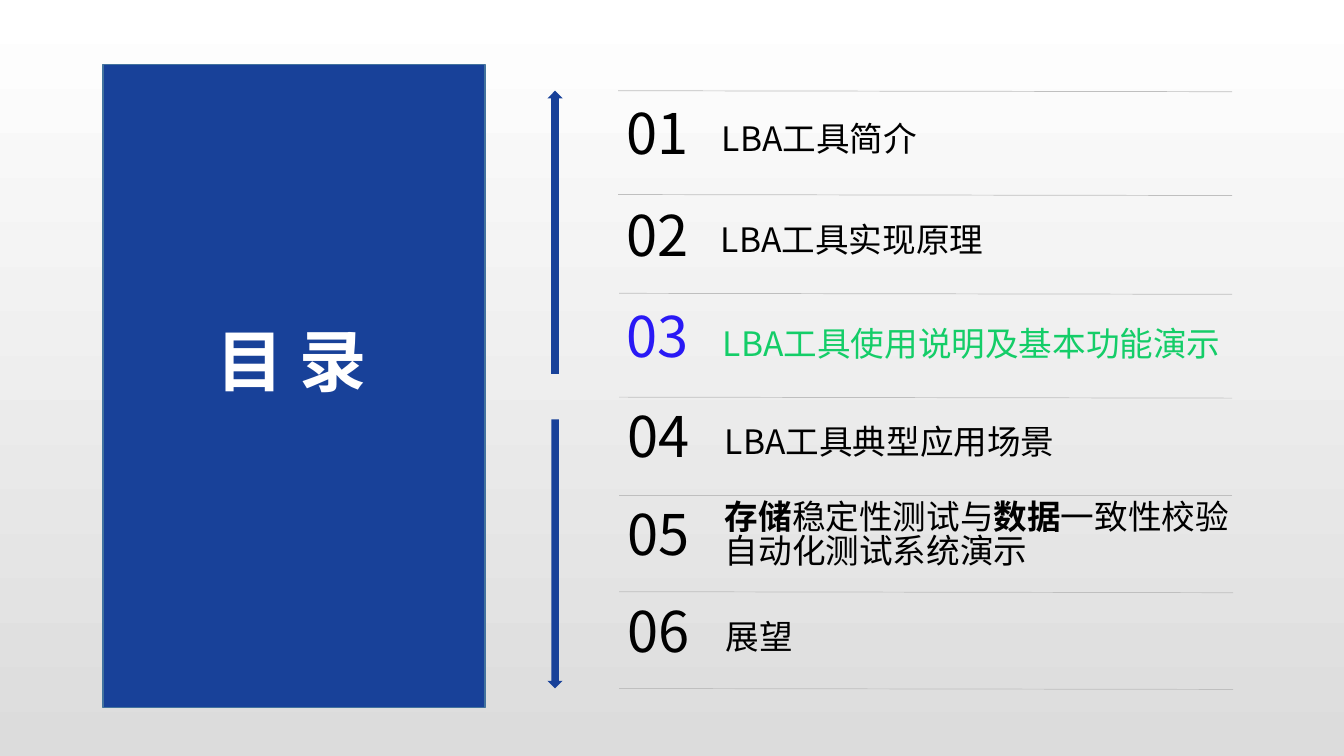
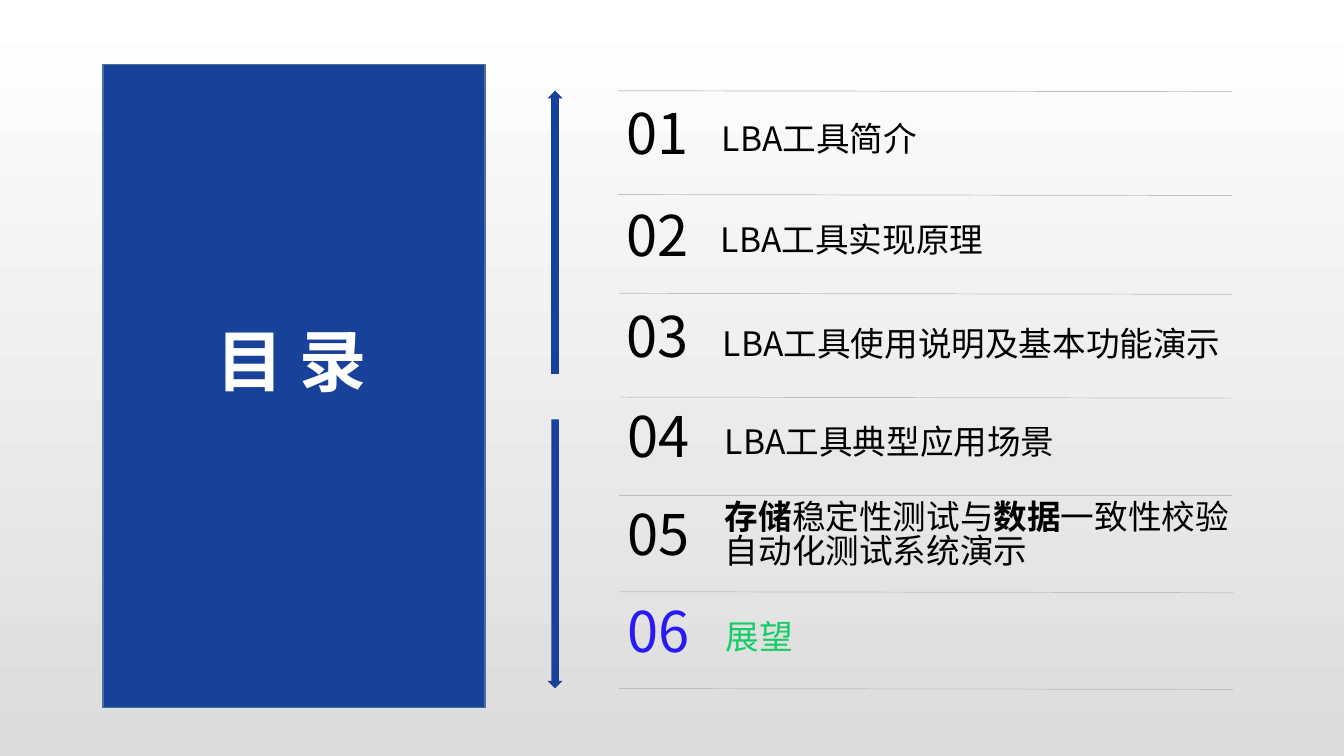
from dataclasses import dataclass

from lxml.etree import SubElement
from pptx import Presentation
from pptx.dml.color import RGBColor
from pptx.enum.shapes import MSO_CONNECTOR, MSO_SHAPE
from pptx.enum.text import MSO_ANCHOR, MSO_AUTO_SIZE, PP_ALIGN
from pptx.oxml.ns import qn
from pptx.util import Inches, Pt

FONT = "Noto Sans CJK SC"
LINE_SPACING = 0.83
BLUE, PANEL_EDGE, RULE = "184199", "43739E", "BFBFBF"
BLACK, WHITE, PAPER_END = "000000", "FFFFFF", "DCDCDC"
ACTIVE_NUMBER = "2919F5"
ACTIVE_TEXT = ("14CD68", "0B6E38")


@dataclass(frozen=True)
class Run:
    text: str
    bold: bool = False


@dataclass(frozen=True)
class Item:
    """One agenda entry: number position, text box and text runs."""
    num_left: float
    num_top: float
    left: float
    top: float
    width: float
    height: float
    runs: tuple[Run, ...]


@dataclass(frozen=True)
class Arrow:
    left: float
    top: float
    length: float
    rotation: int


@dataclass(frozen=True)
class Rule:
    left: float
    right: float
    top: float
    drop: float = 0.01


ITEMS = (
    Item(6.14, 1.05, 7.09, 1.2, 3.81, 0.48, (Run("LBA工具简介"),)),
    Item(6.14, 2.06, 7.08, 2.2, 4.2, 0.48, (Run("LBA工具实现原理"),)),
    Item(6.14, 3.06, 7.1, 3.23, 5.17, 0.48, (Run("LBA工具使用说明及基本功能演示"),)),
    Item(6.15, 4.06, 7.12, 4.2, 4.2, 0.48, (Run("LBA工具典型应用场景"),)),
    Item(6.15, 5.03, 7.12, 4.95, 5.16, 0.88, (
        Run("存储", True), Run("稳定性测试与"), Run("数据", True),
        Run("一致性校验自动化测试系统演示"))),
    Item(6.15, 5.99, 7.13, 6.14, 1.01, 0.48, (Run("展望"),)),
)
ARROWS = (Arrow(4.1, 2.23, 2.81, 270), Arrow(4.17, 5.42, 2.67, 90))
RULES = (
    Rule(6.13, 12.22, 0.9), Rule(6.13, 12.22, 1.93), Rule(6.14, 12.22, 2.91),
    Rule(6.14, 12.22, 3.94), Rule(6.14, 12.22, 4.91, 0),
    Rule(6.14, 12.23, 5.87), Rule(6.14, 12.23, 6.83),
)


def rgb(value: str) -> RGBColor:
    return RGBColor.from_string(value)


def set_gradient(fill, colors: tuple[str, str], angle: int) -> None:
    fill.gradient()
    fill.gradient_angle = angle
    for stop, color in zip(fill.gradient_stops, colors):
        stop.color.rgb = rgb(color)


def style_run(r, size: int, color: str | tuple[str, str], bold: bool = False) -> None:
    r.font.size, r.font.bold, r.font.name = Pt(size), bold, FONT
    if isinstance(color, tuple):
        set_gradient(r.font.fill, color, 0)
    else:
        r.font.color.rgb = rgb(color)
    # East Asian typeface, placed right after the Latin one
    latin = r.font._element.find(qn("a:latin"))
    ea = SubElement(r.font._element, qn("a:ea"), typeface=FONT)
    latin.addnext(ea)


def add_text(slide, left: float, top: float, width: float, height: float,
             runs: tuple[Run, ...], size: int, color: str | tuple[str, str]) -> None:
    sp = slide.shapes.add_textbox(Inches(left), Inches(top), Inches(width), Inches(height))
    tf = sp.text_frame
    tf.word_wrap = True
    tf.auto_size = MSO_AUTO_SIZE.SHAPE_TO_FIT_TEXT
    tf.margin_left = tf.margin_right = Inches(0.07)
    tf.margin_top = tf.margin_bottom = Inches(0.04)
    p = tf.paragraphs[0]
    p.line_spacing = LINE_SPACING
    for run in runs:
        r = p.add_run()
        r.text = run.text
        style_run(r, size, color, run.bold)


def add_block(slide, kind: MSO_SHAPE, left: float, top: float, width: float, height: float):
    sp = slide.shapes.add_shape(kind, Inches(left), Inches(top), Inches(width), Inches(height))
    sp.shadow.inherit = False
    sp.fill.solid()
    sp.fill.fore_color.rgb = rgb(BLUE)
    sp.line.fill.background()
    return sp


def add_rule(slide, rule: Rule) -> None:
    line = slide.shapes.add_connector(
        MSO_CONNECTOR.STRAIGHT, Inches(rule.right), Inches(rule.top + rule.drop),
        Inches(rule.left), Inches(rule.top))
    line.line.color.rgb = rgb(RULE)
    line.line.width = Pt(0.5)
    SubElement(line._element.spPr, qn("a:effectLst"))


def add_title_panel(slide) -> None:
    panel = add_block(slide, MSO_SHAPE.RECTANGLE, 1.02, 0.64, 3.79, 6.38)
    panel.line.color.rgb = rgb(PANEL_EDGE)
    panel.line.width = Pt(1)
    title = slide.shapes.title
    title._element.addprevious(panel._element)  # panel goes behind the title
    title.left, title.top = Inches(2.05), Inches(3.25)
    title.width, title.height = Inches(1.75), Inches(0.91)
    tf = title.text_frame
    tf.text = "目 录"
    tf.word_wrap = False
    tf.auto_size = MSO_AUTO_SIZE.SHAPE_TO_FIT_TEXT
    tf.vertical_anchor = MSO_ANCHOR.TOP
    p = tf.paragraphs[0]
    p.alignment = PP_ALIGN.LEFT
    p.line_spacing = LINE_SPACING
    style_run(p.runs[0], 48, WHITE, True)


def add_agenda(prs, active: int) -> None:
    """Add an agenda slide that highlights one entry."""
    slide = prs.slides.add_slide(prs.slide_layouts[5])
    add_title_panel(slide)
    for arrow in ARROWS:
        sp = add_block(slide, MSO_SHAPE.RIGHT_ARROW, arrow.left, arrow.top, arrow.length, 0.15)
        sp.rotation = arrow.rotation
    for number, item in enumerate(ITEMS, start=1):
        on = number == active
        add_text(slide, item.num_left, item.num_top, 0.9, 0.75,
                 (Run(f"{number:02d}"),), 40, ACTIVE_NUMBER if on else BLACK)
        add_text(slide, item.left, item.top, item.width, item.height,
                 item.runs, 24, ACTIVE_TEXT if on else BLACK)
    for rule in RULES:
        add_rule(slide, rule)


def main() -> None:
    prs = Presentation()
    prs.slide_width, prs.slide_height = Inches(13.33), Inches(7.5)
    # Shared background: white at the top, grey at the bottom
    set_gradient(prs.slide_master.background.fill, (WHITE, PAPER_END), 270)
    for active in (3, 6):
        add_agenda(prs, active)
    prs.save("out.pptx")


if __name__ == "__main__":
    main()
